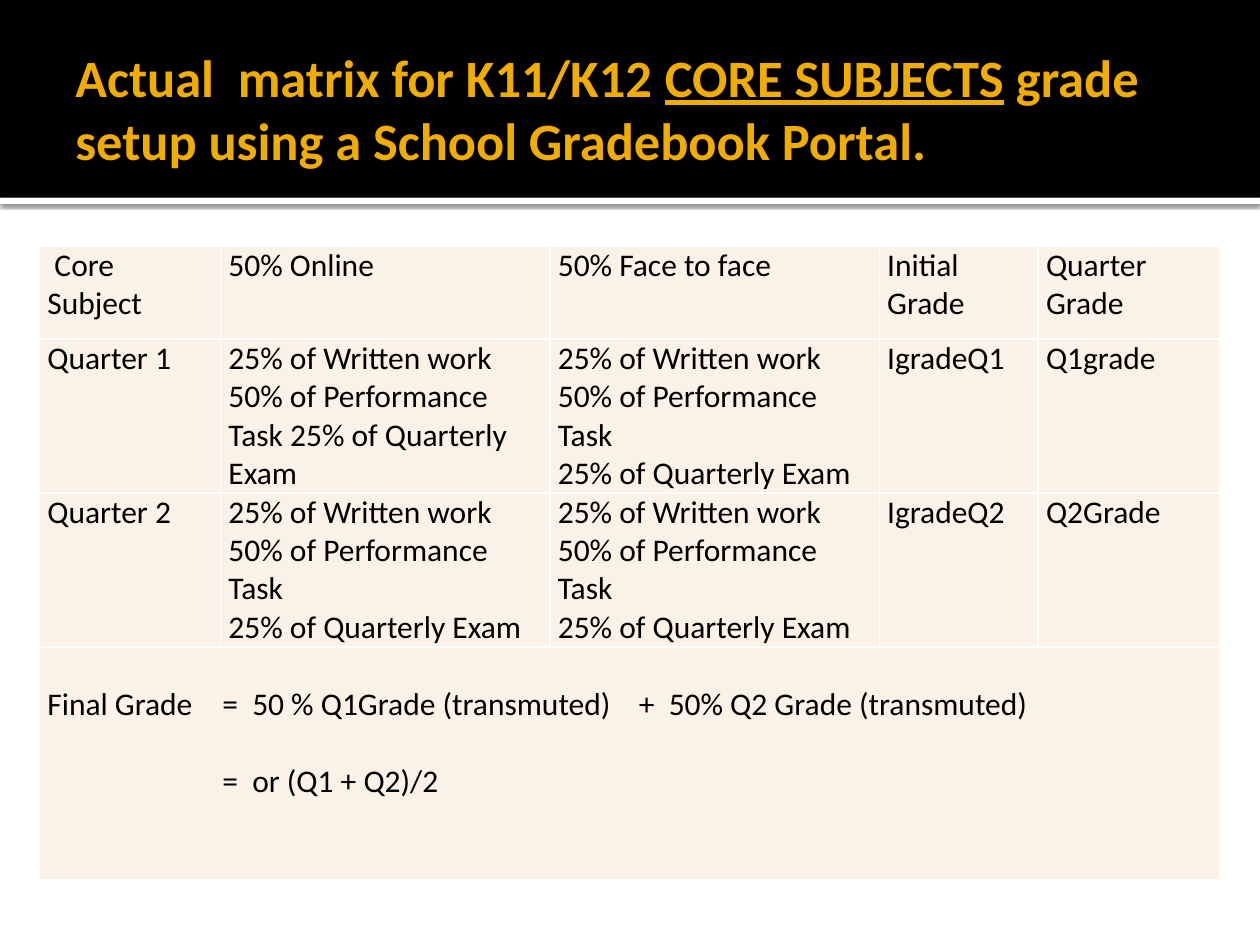
from lxml.etree import SubElement
from pptx import Presentation
from pptx.dml.color import RGBColor
from pptx.enum.shapes import MSO_SHAPE
from pptx.enum.text import MSO_ANCHOR
from pptx.oxml.ns import qn
from pptx.util import Pt

BLACK = RGBColor(0, 0, 0)
WHITE = RGBColor(255, 255, 255)
GOLD = RGBColor(0xF0, 0xAD, 0x00)
CREAM = RGBColor(0xFC, 0xF1, 0xE7)
FONT = "Calibri"

COLUMNS = [103.5, 188.2, 188.2, 90.8, 103.5]
ROWS = [53, 88, 88, 133]
WORK, TASK, EXAM = ("25% of Written work", "50% of Performance Task",
                    "25% of Quarterly Exam")
GRADES = [
    [[" Core Subject"], ["50% Online"], ["50% Face to face"],
     ["Initial\nGrade"], ["Quarter\nGrade"]],
    [["Quarter 1"], [f"{WORK} \n{TASK} {EXAM}"], [f"{WORK} \n{TASK}", EXAM],
     ["IgradeQ1"], ["Q1grade"]],
    [["Quarter 2"], [WORK, TASK, EXAM], [WORK, TASK, EXAM],
     ["IgradeQ2"], ["Q2Grade"]],
]
FINAL_GRADE = ["Final Grade\t=  50 % Q1Grade (transmuted)\t"
               "+  50% Q2 Grade (transmuted)", "\t=  or (Q1 + Q2)/2"]


def write(frame, paragraphs, size=18, color=BLACK, bold=False,
          margins=(4.5, 0, 4.5, 0), underlined=None, gap=0, tabs=()):
    """Fill a text frame or cell; margins run left, top, right, bottom."""
    (frame.margin_left, frame.margin_top,
     frame.margin_right, frame.margin_bottom) = map(Pt, margins)
    body = getattr(frame, "text_frame", frame)
    body.word_wrap = True
    for index, text in enumerate(paragraphs):
        para = body.add_paragraph() if index else body.paragraphs[0]
        para.space_before = Pt(gap if index else 0)
        if tabs:
            stops = SubElement(para._p.get_or_add_pPr(), qn("a:tabLst"))
            for stop in tabs:
                SubElement(stops, qn("a:tab"), pos=str(Pt(stop)), algn="l")
        before, mark, after = text.partition(underlined or "\n")
        for part in (before, mark, after):
            if part == "\n":
                para.add_line_break()
            elif part:
                span = para.add_run()
                span.text = part
                span.font.name = FONT
                span.font.size = Pt(size)
                span.font.bold = bold
                span.font.color.rgb = color
                span.font.underline = part == underlined


def add_bar(page, left, top, width, height, color):
    bar = page.shapes.add_shape(MSO_SHAPE.RECTANGLE, Pt(left), Pt(top),
                                Pt(width), Pt(height))
    bar.shadow.inherit = False
    bar.fill.solid()
    bar.fill.fore_color.rgb = color
    bar.line.fill.background()
    return bar


def add_drop_shadow(shape):
    effects = shape._element.spPr.find(qn("a:effectLst"))
    shadow = SubElement(effects, qn("a:outerShdw"), blurRad=str(Pt(2.5)),
                        dist=str(Pt(0.8)), dir="5400000", algn="tl",
                        rotWithShape="0")
    tint = SubElement(shadow, qn("a:srgbClr"), val=str(BLACK))
    SubElement(tint, qn("a:alpha"), val="60000")


def add_header(page, left, top, width, height):
    strip = add_bar(page, left, top + height, width, 3.6, WHITE)
    add_drop_shadow(strip)
    add_bar(page, left, top, width, height, BLACK)
    box = page.shapes.add_textbox(Pt(left + 36), Pt(top + 12.2),
                                  Pt(width - 72), Pt(height - 14.4))
    frame = box.text_frame
    frame.vertical_anchor = MSO_ANCHOR.MIDDLE
    write(frame, ["Actual  matrix for K11/K12 CORE SUBJECTS grade "
                  "setup using a School Gradebook Portal."],
          size=30, color=GOLD, bold=True, margins=(7.2, 3.6, 3.6, 3.6),
          underlined="CORE SUBJECTS")


def style_cell(cell):
    properties = cell._tc.get_or_add_tcPr()
    for side in ("lnL", "lnR", "lnT", "lnB"):
        line = SubElement(properties, qn(f"a:{side}"), w=str(Pt(1)))
        fill = SubElement(line, qn("a:solidFill"))
        SubElement(fill, qn("a:srgbClr"), val=str(WHITE))
    cell.fill.solid()
    cell.fill.fore_color.rgb = CREAM


def add_grade_table(page, left, top):
    table = page.shapes.add_table(len(ROWS), len(COLUMNS), Pt(left), Pt(top),
                                  Pt(sum(COLUMNS)), Pt(sum(ROWS))).table
    table.first_row = table.horz_banding = False
    for column, width in zip(table.columns, COLUMNS):
        column.width = Pt(width)
    for row, height in zip(table.rows, ROWS):
        row.height = Pt(height)
    for cell in table.iter_cells():
        style_cell(cell)
    for row, texts in zip(table.rows, GRADES):
        for cell, paragraphs in zip(row.cells, texts):
            write(cell, paragraphs)
    last = len(ROWS) - 1
    summary = table.cell(last, 0)
    summary.merge(table.cell(last, len(COLUMNS) - 1))
    write(summary, FINAL_GRADE, margins=(4.5, 22, 4.5, 0), gap=22,
          tabs=(100, 338))


def main():
    deck = Presentation()
    deck.slide_width, deck.slide_height = Pt(720), Pt(540)
    page = deck.slides.add_slide(deck.slide_layouts[6])
    add_header(page, 0, 0, 720, 113)
    add_grade_table(page, 22.6, 140.8)
    deck.save("out.pptx")


if __name__ == "__main__":
    main()
